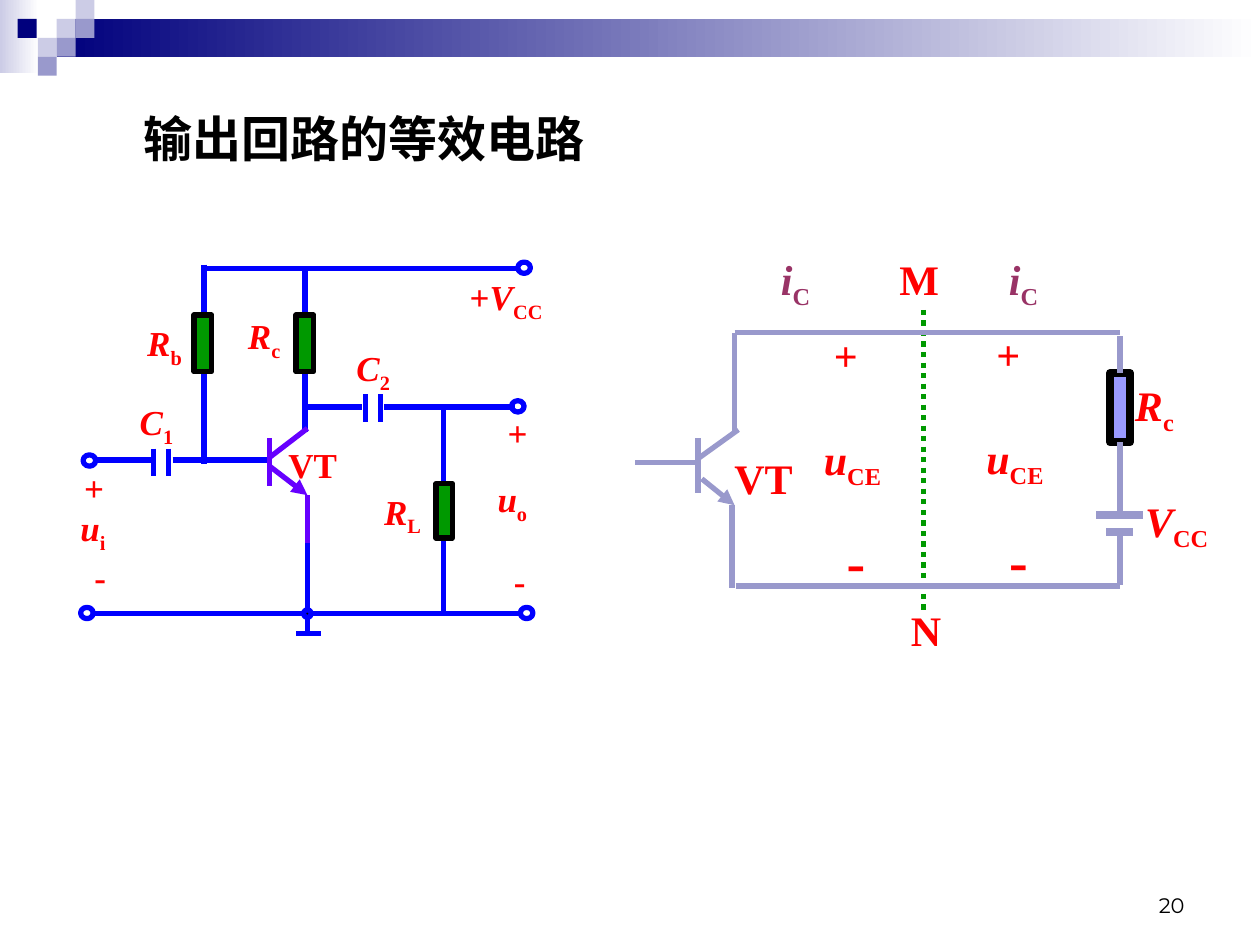
from lxml import etree
from pptx import Presentation
from pptx import util as u
from pptx.dml.color import RGBColor
from pptx.enum import dml, shapes, text
from pptx.oxml.ns import qn

FONT = "Times New Roman"
RED, PLUM, BLACK = "FF0000", "993366", "000000"
BLUE, VIOLET, LILAC, GREEN = "0000FF", "6600FF", "9999CC", "009900"
NAVY, PALE, WHITE = "00007D", "CCCCE6", "FFFFFF"


def rgb(value):
    return RGBColor.from_string(value)


def set_font(font, color, **values):
    font.color.rgb = rgb(color)
    for name, value in values.items():
        setattr(font, name, value)


def set_frame(tf, anchor=text.MSO_ANCHOR.TOP):
    values = {"word_wrap": True, "vertical_anchor": anchor,
              "auto_size": text.MSO_AUTO_SIZE.NONE,
              "margin_left": u.Inches(0.1), "margin_right": u.Inches(0.1),
              "margin_top": u.Inches(0.05), "margin_bottom": u.Inches(0.05)}
    for name, value in values.items():
        setattr(tf, name, value)


def add_label(s, box, label, size, color=RED):
    """Write a label; "V_CC" is an italic symbol with an upright subscript."""
    tf = s.shapes.add_textbox(*map(u.Inches, box)).text_frame
    set_frame(tf)
    p = tf.paragraphs[0]
    symbol, _, sub = label.partition("_")
    sign = "+" if sub and symbol.startswith("+") else ""
    parts = [(sign, False), (symbol[len(sign):], bool(sub)), (sub, False)]
    for part, italic in parts:
        if part:
            r = p.add_run()
            r.text = part
            set_font(r.font, color, name=FONT, size=u.Pt(size), bold=True, italic=italic)
    if sub:
        r._r.get_or_add_rPr().set("baseline", "-25000")


def add_wire(s, x1, y1, x2, y2, color, width=3, arrow=False, dash=None):
    wire = s.shapes.add_connector(shapes.MSO_CONNECTOR.STRAIGHT,
                                  *map(u.Inches, (x1, y1, x2, y2)))
    wire.line.color.rgb = rgb(color)
    wire.line.width = u.Pt(width)
    if dash:
        wire.line.dash_style = dash
    if arrow:
        etree.SubElement(wire.line._get_or_add_ln(), qn("a:tailEnd"), type="triangle")
    etree.SubElement(wire._element.spPr, qn("a:effectLst"))
    return wire


def add_block(s, box, fill=None, line=None, width=3, kind=shapes.MSO_SHAPE.RECTANGLE):
    """Draw a preset shape; a pair of fill colours makes a gradient."""
    sp = s.shapes.add_shape(kind, *map(u.Inches, box))
    sp.shadow.inherit = False
    if isinstance(fill, tuple):
        sp.fill.gradient()
        sp.fill.gradient_angle = 0
        for stop, color in zip(sp.fill.gradient_stops, fill):
            stop.color.rgb = rgb(color)
    elif fill:
        sp.fill.solid()
        sp.fill.fore_color.rgb = rgb(fill)
    else:
        sp.fill.background()
    if line:
        sp.line.color.rgb = rgb(line)
        sp.line.width = u.Pt(width)
    else:
        sp.line.fill.background()
    return sp


def add_banner(s):
    add_block(s, (0, 0, 0.31, 0.58), (PALE, WHITE))
    add_block(s, (0.45, 0.15, 9.55, 0.3), (NAVY, WHITE))
    tiles = [(0.45, 0.15, PALE), (0.6, 0, PALE), (0.6, 0.15, LILAC), (0.3, 0.3, PALE),
             (0.14, 0.15, NAVY), (0.45, 0.3, LILAC), (0.3, 0.45, LILAC)]
    for x, y, color in tiles:
        add_block(s, (x, y, 0.15, 0.15), color)


def add_title(s):
    sp = s.shapes.title
    sp.left, sp.top, sp.width, sp.height = map(u.Inches, (1.04, 0.81, 3.85, 0.57))
    set_frame(sp.text_frame)
    p = sp.text_frame.paragraphs[0]
    p.text = "输出回路的等效电路"
    p.alignment = text.PP_ALIGN.LEFT
    set_font(p.runs[0].font, BLACK, name=FONT, size=u.Pt(28), bold=True)


def add_page_number(s):
    tf = s.shapes.add_textbox(*map(u.Inches, (7.17, 6.83, 2.33, 0.5))).text_frame
    set_frame(tf, text.MSO_ANCHOR.BOTTOM)
    p = tf.paragraphs[0]
    p.text = "20"
    p.alignment = text.PP_ALIGN.RIGHT
    set_font(p.runs[0].font, BLACK, name="Montserrat", size=u.Pt(12))


def add_equivalent_circuit(s):
    # Dividing line M-N
    add_wire(s, 7.33, 2.46, 7.33, 4.85, GREEN, dash=dml.MSO_LINE.ROUND_DOT)

    # Transistor and loop
    for ends in [(5.54, 3.48, 5.54, 3.91), (5.54, 3.64, 5.86, 3.41),
                 (5.54, 3.67, 5.04, 3.67), (5.81, 4.01, 5.81, 4.67),
                 (5.83, 3.43, 5.83, 2.64), (5.83, 2.64, 8.89, 2.64),
                 (5.84, 4.65, 8.89, 4.65), (8.89, 4.25, 8.89, 4.64)]:
        add_wire(s, *ends, LILAC)
    add_wire(s, 5.57, 3.8, 5.83, 4.01, LILAC, arrow=True)

    # Collector resistor and supply
    resistor = add_block(s, (8.81, 2.96, 0.16, 0.55), "9999FF", BLACK, 4.5)
    add_wire(s, 8.89, 2.67, 8.89, 2.96, LILAC).end_connect(resistor, 0)
    add_wire(s, 8.89, 3.51, 8.89, 4.09, LILAC).begin_connect(resistor, 2)
    add_wire(s, 8.7, 4.09, 9.07, 4.09, LILAC, 4.5)
    add_wire(s, 8.78, 4.22, 8.99, 4.22, LILAC, 4.5)

    # Voltage on each side of the dividing line
    for x, y in [(6.44, 2.57), (7.73, 2.56)]:
        add_label(s, (x + 0.08, y, 0.5, 0.5), "+", 24)
        add_label(s, (x + 0.18, y + 1.56, 0.58, 0.64), "-", 32)
        add_label(s, (x, y + 0.82, 0.95, 0.56), "u_CE", 24)

    for box, label in [((5.73, 3.54, 0.68, 0.5), "VT"), ((8.91, 2.96, 0.53, 0.56), "R_c"),
                       ((8.99, 3.88, 0.81, 0.56), "V_CC"),
                       ((7.04, 1.96, 0.71, 0.5), "M"), ((7.13, 4.75, 0.68, 0.5), "N")]:
        add_label(s, box, label, 24)
    for x in (6.1, 7.91):
        add_label(s, (x, 1.96, 0.56, 0.56), "i_C", 24, PLUM)


def add_amplifier_circuit(s):
    # Wires
    for ends in [(1.62, 2.1, 1.62, 3.68), (2.42, 3.43, 2.42, 2.13),
                 (3.52, 3.21, 3.52, 4.87), (3.05, 3.23, 4.09, 3.23),
                 (2.44, 3.23, 2.87, 3.23), (1.62, 2.13, 4.12, 2.13),
                 (0.75, 4.87, 4.14, 4.87), (1.37, 3.65, 2.14, 3.65),
                 (1.22, 3.65, 0.77, 3.65), (2.44, 4.18, 2.44, 5.02),
                 (2.35, 5.03, 2.55, 5.03)]:
        add_wire(s, *ends, BLUE)

    # Capacitor plates, 0.12 apart
    for x, y in [(1.22, 3.56), (2.9, 3.13)]:
        for plate in (x, x + 0.12):
            add_wire(s, plate, y, plate, y + 0.22, BLUE)

    # Transistor
    for ends in [(2.44, 3.93, 2.44, 4.31), (2.14, 3.48, 2.14, 3.86),
                 (2.14, 3.63, 2.44, 3.4)]:
        add_wire(s, *ends, VIOLET)
    add_wire(s, 2.14, 3.7, 2.44, 3.93, VIOLET, arrow=True)

    # Resistors, terminals and ground node
    for box in [(1.54, 2.5, 0.14, 0.45), (2.35, 2.5, 0.14, 0.45), (3.46, 3.84, 0.13, 0.43)]:
        add_block(s, box, GREEN, BLACK)
    for x, y in [(4.06, 3.18), (4.11, 2.08), (0.64, 4.82), (4.13, 4.82), (0.66, 3.61)]:
        add_block(s, (x, y, 0.1, 0.09), line=BLUE, kind=shapes.MSO_SHAPE.OVAL)
    add_block(s, (2.41, 4.84, 0.06, 0.06), BLACK, BLUE, kind=shapes.MSO_SHAPE.OVAL)

    # Labels: left, top, width; those with a subscript are taller
    for x, y, w, label in [(1.07, 2.5, 0.54, "R_b"), (1.87, 2.45, 0.5, "R_c"),
                           (2.19, 3.47, 0.83, "VT"), (0.57, 3.65, 0.43, "+"),
                           (0.65, 4.36, 0.51, "-"), (0.54, 3.97, 0.53, "u_i"),
                           (2.95, 3.84, 0.56, "R_L"), (1.01, 3.13, 0.53, "C_1"),
                           (2.73, 2.7, 0.62, "C_2"), (3.63, 2.14, 0.93, "+V_CC"),
                           (3.93, 3.22, 0.43, "+"), (3.98, 4.39, 0.51, "-"),
                           (3.85, 3.74, 0.58, "u_o")]:
        add_label(s, (x, y, w, 0.48 if "_" in label else 0.44), label, 20)


def main():
    prs = Presentation()
    prs.slide_width, prs.slide_height = u.Inches(10), u.Inches(7.5)
    s = prs.slides.add_slide(prs.slide_layouts[5])
    add_banner(s)
    add_title(s)
    add_equivalent_circuit(s)
    add_amplifier_circuit(s)
    add_page_number(s)
    prs.save("out.pptx")


if __name__ == "__main__":
    main()
